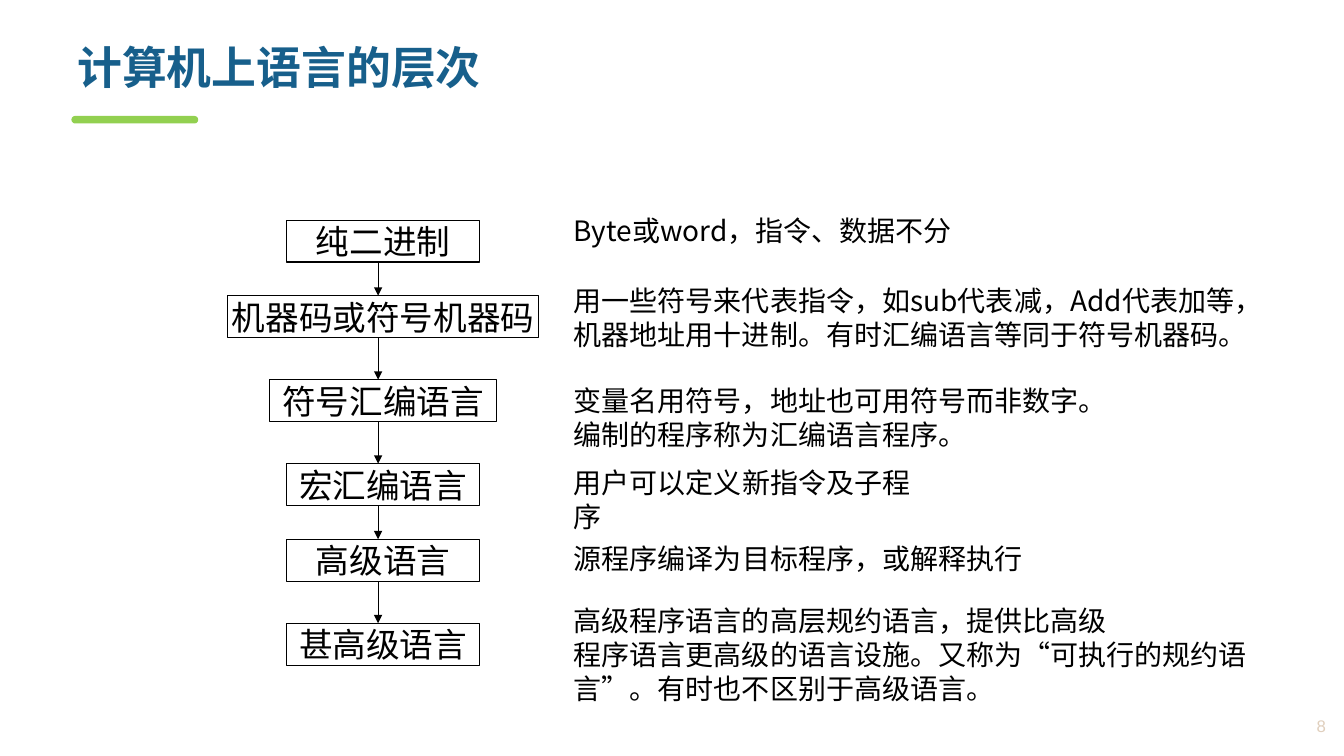
from lxml import etree
from pptx import Presentation, util as u
from pptx.dml.color import RGBColor
from pptx.enum import shapes, text
from pptx.oxml import ns

INK = {"title": "175F8B", "bar": "92D050", "text": "000000", "page": "E0CFBD"}
CJK = "Noto Sans CJK SC"
UNIT = 1 / 12  # grid of 160 columns by 90 rows, in inches
MID, STEM, NOTE = 45.6, 45, 67.1  # columns: box centre, arrows, notes
HIGH = 5  # rows in a box

# Level name, top row, box columns
LEVELS = [
    ("纯二进制", 26.2, 23),
    ("机器码或符号机器码", 35.2, 37),
    ("符号汇编语言", 45.2, 27),
    ("宏汇编语言", 55.2, 23),
    ("高级语言", 64.2, 23),
    ("甚高级语言", 74.2, 23),
]

# Note, top row, columns, rows
NOTES = [
    ("Byte或word，指令、数据不分", 24.8, 47.9, 5.2),
    ("用一些符号来代表指令，如sub代表减，Add代表加等，机器地址用十进制。"
     "有时汇编语言等同于符号机器码。", 33.1, 83.3, 9.2),
    ("变量名用符号，地址也可用符号而非数字。\n编制的程序称为汇编语言程序。",
     45, 65.8, 9.2),
    ("用户可以定义新指令及子程序", 54.8, 45.7, 5.2),
    ("源程序编译为目标程序，或解释执行", 63.8, 55.8, 5.2),
    ("高级程序语言的高层规约语言，提供比高级\n"
     "程序语言更高级的语言设施。又称为“可执行的规约语言”。"
     "有时也不区别于高级语言。", 71.2, 83.3, 13.3),
]


class Deck:
    def __init__(self):
        self.prs = Presentation()
        self.prs.slide_width = u.Inches(13.33)
        self.prs.slide_height = u.Inches(7.5)
        self.slide = self.prs.slides.add_slide(self.prs.slide_layouts[5])
        self.shapes = self.slide.shapes

    def grid(self, *cells):
        return [u.Inches(cell * UNIT) for cell in cells]

    def fill_in(self, shape, words, size, ink="text", font=CJK, bold=False,
                align=text.PP_ALIGN.LEFT, anchor=text.MSO_ANCHOR.TOP,
                lead=None, wrap=True):
        frame = shape.text_frame
        frame.text = words
        frame.word_wrap = wrap
        frame.vertical_anchor = anchor
        for para in frame.paragraphs:
            para.alignment = align
            para.line_spacing = lead
            for run in para.runs:
                run.font.size = u.Pt(size)
                run.font.bold = bold
                run.font.name = font
                run.font.color.rgb = RGBColor.from_string(INK[ink])
                east = etree.SubElement(run.font._element, ns.qn("a:ea"))
                east.set("typeface", font)

    def title(self, words, *cells):
        shape = self.shapes.title
        shape.left, shape.top, shape.width, shape.height = self.grid(*cells)
        self.fill_in(shape, words, 32, "title", bold=True, lead=0.9)

    def bar(self, *cells):
        kind = shapes.MSO_SHAPE.ROUND_2_SAME_RECTANGLE
        shape = self.shapes.add_shape(kind, *self.grid(*cells))
        shape.adjustments[0] = shape.adjustments[1] = 0.5
        shape.shadow.inherit = False
        shape.fill.solid()
        shape.fill.fore_color.rgb = RGBColor.from_string(INK["bar"])
        shape.line.fill.background()

    def box(self, words, top, wide):
        cells = self.grid(MID - wide / 2, top, wide, HIGH)
        shape = self.shapes.add_shape(shapes.MSO_SHAPE.RECTANGLE, *cells)
        shape.shadow.inherit = False
        shape.fill.background()
        self.stroke(shape)
        frame = shape.text_frame
        frame.margin_top = frame.margin_bottom = 0
        self.fill_in(shape, words, 24, align=text.PP_ALIGN.CENTER,
                     anchor=text.MSO_ANCHOR.MIDDLE, lead=u.Pt(29), wrap=False)

    def stroke(self, shape):
        shape.line.width = u.Pt(0.75)
        shape.line.color.rgb = RGBColor.from_string(INK["text"])

    def arrow(self, start, end):
        line = self.shapes.add_connector(
            shapes.MSO_CONNECTOR.STRAIGHT, *self.grid(STEM, start, STEM, end))
        self.stroke(line)
        tip = etree.SubElement(line.line._get_or_add_ln(), ns.qn("a:tailEnd"))
        tip.set("type", "triangle")
        etree.SubElement(line._element.spPr, ns.qn("a:effectLst"))

    def label(self, words, cells, size, **style):
        shape = self.shapes.add_textbox(*self.grid(*cells))
        self.fill_in(shape, words, size, **style)


def main():
    deck = Deck()

    # Heading
    deck.title("计算机上语言的层次", 8, 4.9, 147.2, 9)
    deck.bar(8.5, 13.8, 15.1, 0.9)

    # Chain of language levels
    for level in LEVELS:
        deck.box(*level)
    for (_, top, _), (_, below, _) in zip(LEVELS, LEVELS[1:]):
        deck.arrow(top + HIGH, below)

    # Notes beside the levels
    for words, top, wide, high in NOTES:
        deck.label(words, (NOTE, top, wide, high), 20, lead=u.Pt(24.2))

    # Page number
    deck.label("8", (145.4, 84.1, 13.6, 4.6), 12, ink="page", font="Arial",
               align=text.PP_ALIGN.RIGHT, anchor=text.MSO_ANCHOR.MIDDLE)

    deck.prs.save("out.pptx")


if __name__ == "__main__":
    main()
